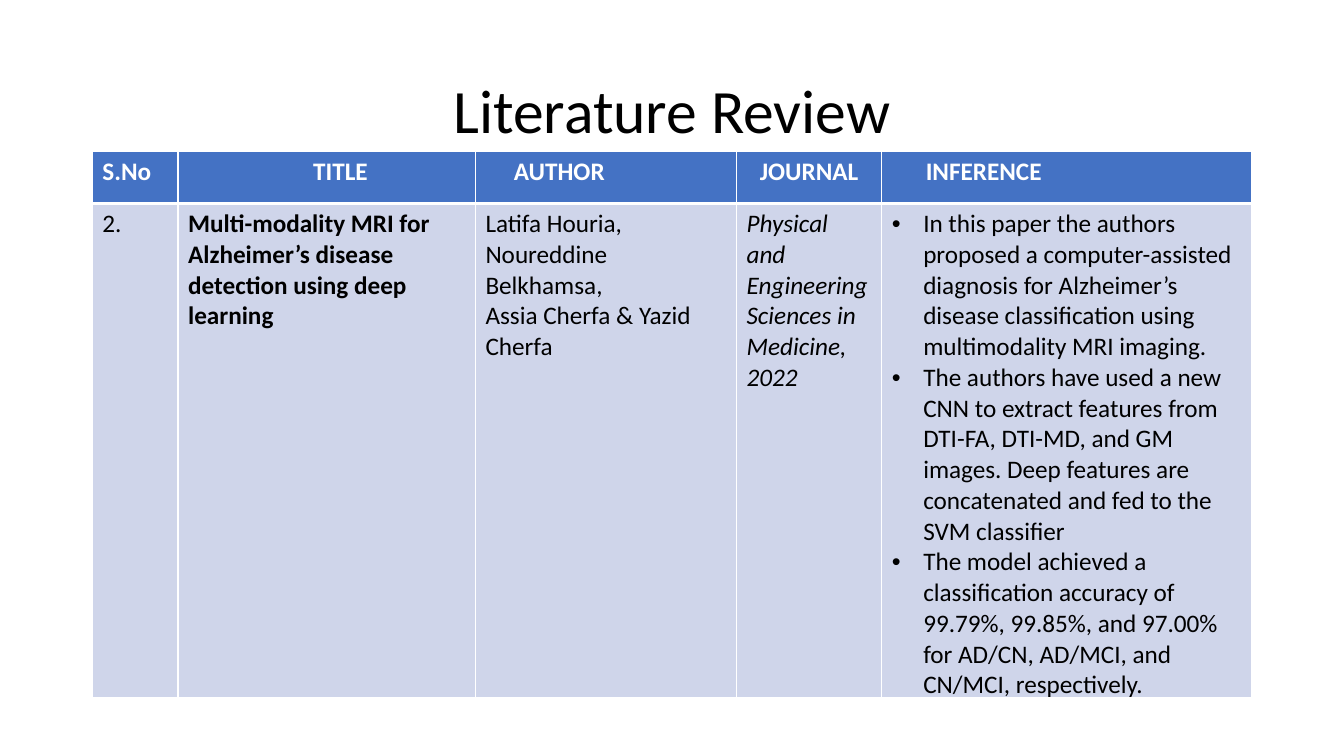
"""Build a literature review slide with a title and a one-entry table."""
import pptx
import pptx.dml.color
import pptx.enum.text
import pptx.oxml
import pptx.oxml.ns
import pptx.util

Pt = pptx.util.Pt
RGBColor = pptx.dml.color.RGBColor
ALIGN = pptx.enum.text.PP_ALIGN
ANCHOR = pptx.enum.text.MSO_ANCHOR

BLACK = RGBColor(0x00, 0x00, 0x00)
WHITE = RGBColor(0xFF, 0xFF, 0xFF)
HEADER_BLUE = RGBColor(0x44, 0x72, 0xC4)
ROW_BLUE = RGBColor(0xCF, 0xD5, 0xEA)

LEFT, WIDTH = 66, 828
COLUMN_WIDTHS = (61.2, 212.4, 186.5, 103.7, 264.2)
ROW_HEIGHTS = (37.4, 352.4)
BULLET_INDENT = 22.5

TITLE_FONT = {"name": "Calibri", "size": Pt(44), "bold": False}
HEADER_FONT = {"name": "Calibri", "size": Pt(18), "bold": True, "italic": False}
BODY_FONT = {**HEADER_FONT, "bold": False}

HEADERS = (
    ("S.No", {}),
    ("TITLE", {"indent": 89.3}),
    ("AUTHOR", {"indent": 20.3}),
    ("JOURNAL", {"alignment": ALIGN.CENTER}),
    ("INFERENCE", {"indent": 24.3}),
)
ENTRY = (
    (["2."], {}, {}),
    (["Multi-modality MRI for Alzheimer’s disease detection using deep learning"],
     {"bold": True}, {}),
    (["Latifa Houria,", "Noureddine Belkhamsa,", "Assia Cherfa & Yazid Cherfa"], {}, {}),
    (["Physical and Engineering Sciences in Medicine, 2022"], {"italic": True}, {}),
    (["In this paper the authors proposed a computer-assisted diagnosis for "
      "Alzheimer’s disease classification using multimodality MRI imaging.",
      "The authors have used a new CNN to extract features from DTI-FA, DTI-MD, "
      "and GM images. Deep features are concatenated and fed to the SVM classifier",
      "The model achieved a classification accuracy of 99.79%, 99.85%, and 97.00% "
      "for AD/CN, AD/MCI, and CN/MCI, respectively."],
     {}, {"indent": BULLET_INDENT, "bullet": True}),
)


def apply_format(target, values):
    """Set every attribute named in values on the target."""
    for name, value in values.items():
        setattr(target, name, value)


def indent_paragraph(paragraph, indent, bullet):
    """Indent a paragraph, hanging a bullet in the indent when asked."""
    properties = paragraph._p.get_or_add_pPr()
    properties.set("marL", str(Pt(indent)))
    if bullet:
        properties.set("indent", str(-Pt(indent)))
        namespace = pptx.oxml.ns.nsdecls("a")
        for xml in (f'<a:buFont {namespace} typeface="Arial"/>',
                    f'<a:buChar {namespace} char="•"/>'):
            properties.append(pptx.oxml.parse_xml(xml))


def write_paragraphs(frame, texts, font, color, indent=0, bullet=False, **layout):
    """Fill a text frame with one formatted paragraph per text."""
    for index, text in enumerate(texts):
        paragraph = frame.add_paragraph() if index else frame.paragraphs[0]
        if indent:
            indent_paragraph(paragraph, indent, bullet)
        apply_format(paragraph, layout)
        run = paragraph.add_run()
        run.text = text
        apply_format(run.font, font)
        run.font.color.rgb = color


def style_cell(cell, fill, top, bottom):
    """Give a cell white borders and a solid fill."""
    properties = cell._tc.get_or_add_tcPr()
    for side, width in {"L": 1, "R": 1, "T": top, "B": bottom}.items():
        properties.append(pptx.oxml.parse_xml(
            f'<a:ln{side} {pptx.oxml.ns.nsdecls("a")} w="{Pt(width)}">'
            f'<a:solidFill><a:srgbClr val="{WHITE}"/></a:solidFill></a:ln{side}>'))
    cell.fill.solid()
    cell.fill.fore_color.rgb = fill


def add_title(slide, text):
    """Add the centred slide title."""
    frame = slide.shapes.add_textbox(Pt(LEFT), Pt(28.8), Pt(WIDTH), Pt(104.4)).text_frame
    apply_format(frame, {"word_wrap": True, "vertical_anchor": ANCHOR.MIDDLE})
    write_paragraphs(frame, [text], TITLE_FONT, BLACK,
                     alignment=ALIGN.CENTER, line_spacing=0.9)


def add_review_table(slide):
    """Add the table with its header row and the reviewed paper."""
    table = slide.shapes.add_table(
        len(ROW_HEIGHTS), len(COLUMN_WIDTHS),
        Pt(LEFT), Pt(108), Pt(WIDTH), Pt(sum(ROW_HEIGHTS))).table
    for column, width in zip(table.columns, COLUMN_WIDTHS):
        column.width = Pt(width)
    for row, height in zip(table.rows, ROW_HEIGHTS):
        row.height = Pt(height)
    for index, (text, layout) in enumerate(HEADERS):
        cell = table.cell(0, index)
        style_cell(cell, HEADER_BLUE, top=1, bottom=3)
        write_paragraphs(cell.text_frame, [text], HEADER_FONT, WHITE, **layout)
    for index, (texts, emphasis, layout) in enumerate(ENTRY):
        cell = table.cell(1, index)
        style_cell(cell, ROW_BLUE, top=3, bottom=1)
        write_paragraphs(cell.text_frame, texts, {**BODY_FONT, **emphasis}, BLACK, **layout)


def main():
    """Build and save the presentation."""
    presentation = pptx.Presentation()
    apply_format(presentation, {"slide_width": Pt(960), "slide_height": Pt(540)})
    slide = presentation.slides.add_slide(presentation.slide_layouts[6])
    add_title(slide, "Literature Review")
    add_review_table(slide)
    presentation.save("out.pptx")


if __name__ == "__main__":
    main()
